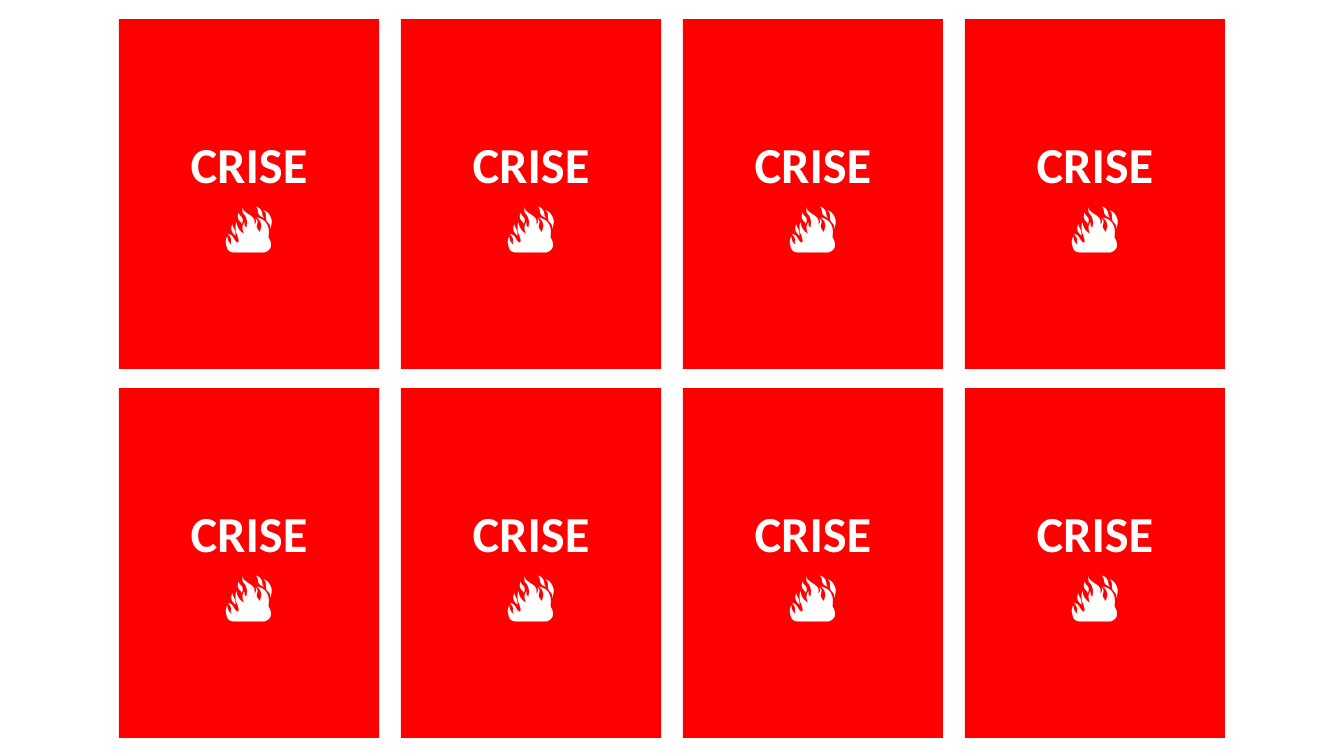
"""Build a sheet of crisis cards laid out in four columns and two rows."""
import dataclasses
import itertools

import pptx
import pptx.dml.color
import pptx.enum.shapes
import pptx.enum.text
import pptx.util


@dataclasses.dataclass(frozen=True)
class Theme:
    """Colours and type of the cards."""
    card: str = "FF0000"
    ink: str = "FFFFFF"
    font: str = "Calibri"
    size: int = 36


@dataclasses.dataclass(frozen=True)
class Grid:
    """Card grid in inches, with gaps worked out from the outer edges."""
    left: float = 1.18
    top: float = 0.19
    right: float = 12.15
    bottom: float = 7.32
    cols: int = 4
    rows: int = 2
    width: float = 2.58
    height: float = 3.47

    def cell(self, col, row):
        """Return left, top, width and height of one card."""
        dx = (self.right - self.left - self.width) / (self.cols - 1)
        dy = (self.bottom - self.top - self.height) / (self.rows - 1)
        box = (self.left + col * dx, self.top + row * dy, self.width, self.height)
        return [pptx.util.Inches(v) for v in box]


THEME = Theme()
GRID = Grid()


def rgb(value):
    """Return a colour from its hex digits."""
    return pptx.dml.color.RGBColor.from_string(value)


def write(p, text, *, size=THEME.size, color=THEME.ink, bold=True):
    """Write centred text into a paragraph."""
    p.alignment = pptx.enum.text.PP_ALIGN.CENTER
    r = p.add_run()
    r.text = text
    r.font.name = THEME.font
    r.font.size = pptx.util.Pt(size)
    r.font.bold = bold
    r.font.color.rgb = rgb(color)


def add_card(s, col, row, title, symbol):
    """Add one card with a title above a symbol."""
    sp = s.shapes.add_shape(pptx.enum.shapes.MSO_SHAPE.RECTANGLE, *GRID.cell(col, row))
    sp.shadow.inherit = False
    sp.fill.solid()
    sp.fill.fore_color.rgb = rgb(THEME.card)
    sp.line.fill.background()
    tf = sp.text_frame
    tf.word_wrap = True
    tf.vertical_anchor = pptx.enum.text.MSO_ANCHOR.MIDDLE
    write(tf.paragraphs[0], title)
    write(tf.add_paragraph(), symbol)


def main():
    """Build and save the slide."""
    prs = pptx.Presentation()
    prs.slide_width = pptx.util.Inches(13.33)
    prs.slide_height = pptx.util.Inches(7.5)
    s = prs.slides.add_slide(prs.slide_layouts[6])
    for col, row in itertools.product(range(GRID.cols), range(GRID.rows)):
        add_card(s, col, row, "CRISE", "🔥")
    prs.save("out.pptx")


if __name__ == "__main__":
    main()
